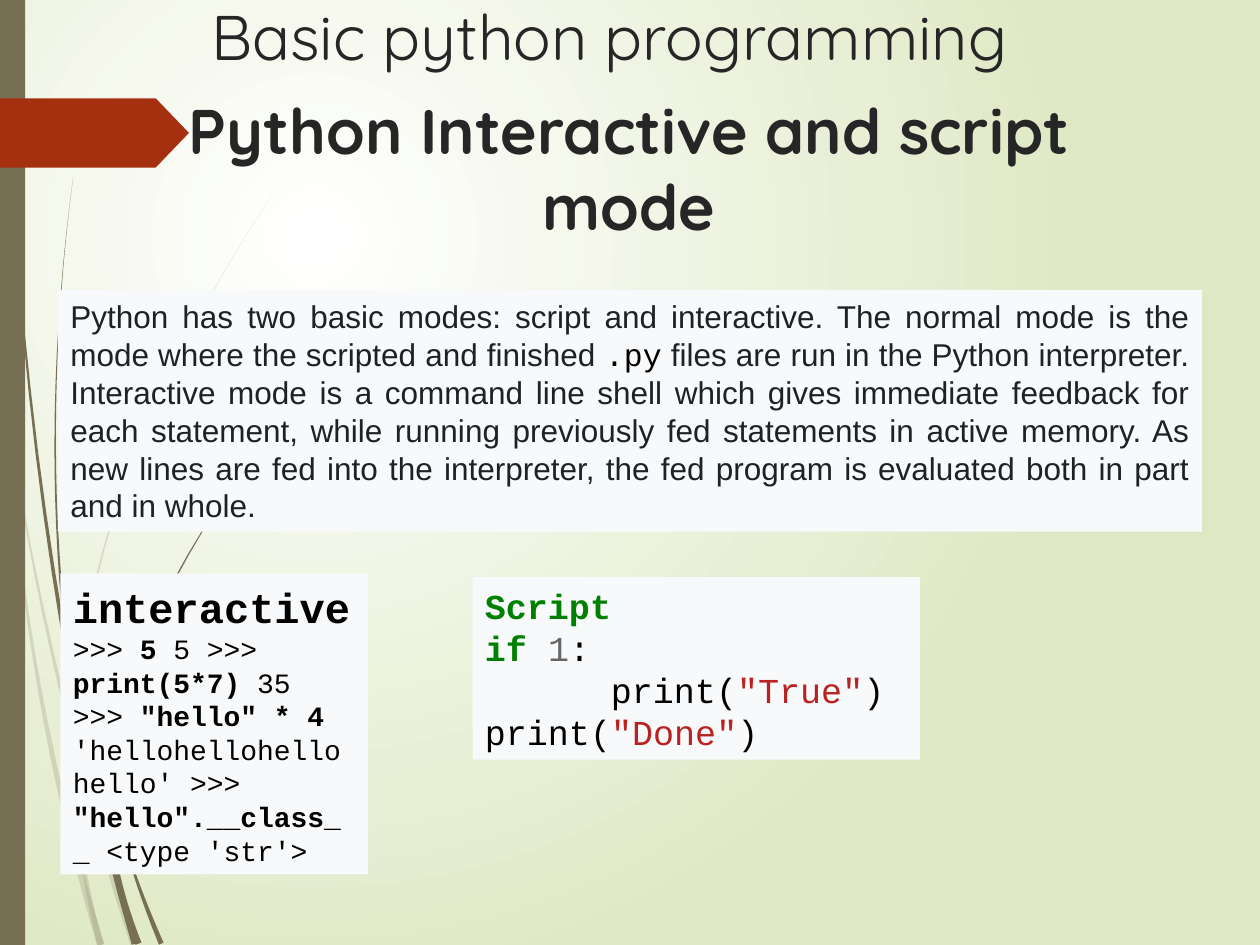
from dataclasses import dataclass
from math import hypot

from lxml.etree import SubElement
from pptx import Presentation
from pptx.dml.color import RGBColor
from pptx.enum.shapes import MSO_SHAPE as Shape
from pptx.enum.text import MSO_ANCHOR as Anchor, PP_ALIGN as Align
from pptx.oxml.ns import qn
from pptx.util import Inches, Pt

OLIVE, RUST, PANEL = "766F54", "A53010", "F8F9FA"
TITLE, BODY, BLACK = "262626", "202122", "000000"
KEYWORD, NUMBER, STRING = "008000", "666666", "BA2121"
GLOW, MEADOW = "FFFFFF", "DFE8C4"
DISPLAY, SANS, MONO = "Quicksand", "Arial", "Courier New"
CURVE_STEPS = 16

Point = tuple[float, float]


@dataclass(frozen=True)
class Box:
    left: float
    top: float
    width: float
    height: float


@dataclass(frozen=True)
class Blade:
    """A curved grass blade, pointed at the tip and widest at the root."""
    tip: Point
    bend: Point
    root: Point
    width: float
    opacity: int = 100


@dataclass(frozen=True)
class Span:
    text: str
    color: str = BLACK
    bold: bool = False
    font: str = MONO


@dataclass(frozen=True)
class Line:
    spans: tuple[Span, ...]
    size: float
    align: Align = Align.LEFT
    indent: float = 0


@dataclass(frozen=True)
class Panel:
    box: Box
    lines: tuple[Line, ...]


# Grass, back to front
FAINT = 20
GRASS = (
    Blade((0, 2.82), (0.29, 5.16), (1.06, 7.5), 0.05, FAINT),
    Blade((0.08, 3.5), (0.2, 5.5), (0.8, 7.5), 0.06, FAINT),
    Blade((2.17, 1.53), (0.6, 3.9), (0.6, 5.95), 0.02, FAINT),
    Blade((0.6, 5.95), (0.6, 6.8), (0.8, 7.5), 0.05, FAINT),
    Blade((0.03, 0), (0.16, 4.4), (1.07, 7.49), 0.05),
    Blade((0.58, 1.41), (0.33, 3.3), (0.52, 5.05), 0.02),
    Blade((2.16, 3.44), (0.9, 5), (0.9, 6.41), 0.03),
    Blade((0.9, 6.36), (1.03, 6.9), (1.28, 7.49), 0.04),
    Blade((0.88, 6.45), (0.9, 6.95), (1.1, 7.49), 0.05),
)

# Text panels
INTRO = Panel(Box(0.46, 2.3, 9.08, 1.92), (
    Line((
        Span("Python has two basic modes: script and interactive. The normal mode is "
             "the mode where the scripted and finished ", BODY, font=SANS),
        Span(".py"),
        Span(" files are run in the Python interpreter. Interactive mode is a command "
             "line shell which gives immediate feedback for each statement, while "
             "running previously fed statements in active memory. As new lines are fed "
             "into the interpreter, the fed program is evaluated both in part and in "
             "whole.", BODY, font=SANS),
    ), 18, Align.JUSTIFY),
))
SESSION = (">>> ", "5", " 5 >>> ", "print(5*7)", " 35 >>> ", '"hello" * 4',
           " 'hellohellohellohello' >>> ", '"hello".__class__', " <type 'str'>")
INTERACTIVE = Panel(Box(0.48, 4.55, 2.44, 2.39), (
    Line((Span("interactive", bold=True),), 24),
    # Typed input alternates with prompts and results
    Line(tuple(Span(text, bold=i % 2 == 1) for i, text in enumerate(SESSION)), 16),
))


def print_call(argument: str, indent: float = 0) -> Line:
    return Line((Span("print("), Span(argument, STRING), Span(")")), 20, indent=indent)


SCRIPT = Panel(Box(3.75, 4.58, 3.55, 1.45), (
    Line((Span("Script", KEYWORD, True),), 20),
    Line((Span("if ", KEYWORD, True), Span("1", NUMBER), Span(":")), 20),
    print_call('"True"', indent=1),
    print_call('"Done"'),
))


def paint(shape, color: str, opacity: int = 100) -> None:
    shape.shadow.inherit = False
    shape.fill.solid()
    shape.fill.fore_color.rgb = RGBColor.from_string(color)
    shape.line.fill.background()
    if opacity < 100:
        tone = shape.element.spPr.find(f".//{qn('a:srgbClr')}")
        SubElement(tone, qn("a:alpha"), val=str(opacity * 1000))


def place(box: Box) -> tuple:
    return tuple(Inches(n) for n in (box.left, box.top, box.width, box.height))


def blade_outline(blade: Blade) -> list[Point]:
    """Follow a quadratic curve and step out to both sides, wider toward the root."""
    (x0, y0), (x1, y1), (x2, y2) = blade.tip, blade.bend, blade.root
    left, right = [], []
    for step in range(CURVE_STEPS + 1):
        t = step / CURVE_STEPS
        x = (1 - t) ** 2 * x0 + 2 * t * (1 - t) * x1 + t ** 2 * x2
        y = (1 - t) ** 2 * y0 + 2 * t * (1 - t) * y1 + t ** 2 * y2
        slope_x = (1 - t) * (x1 - x0) + t * (x2 - x1)
        slope_y = (1 - t) * (y1 - y0) + t * (y2 - y1)
        reach = blade.width * t / 2 / hypot(slope_x, slope_y)
        left.append((x - slope_y * reach, y + slope_x * reach))
        right.append((x + slope_y * reach, y - slope_x * reach))
    return left + right[::-1]


def draw_blade(slide, blade: Blade) -> None:
    first, *rest = [(Inches(x), Inches(y)) for x, y in blade_outline(blade)]
    builder = slide.shapes.build_freeform(*first)
    builder.add_line_segments(rest, close=True)
    paint(builder.convert_to_shape(), OLIVE, blade.opacity)


def draw_shape(slide, box: Box, color: str, kind: Shape = Shape.RECTANGLE):
    shape = slide.shapes.add_shape(kind, *place(box))
    paint(shape, color)
    return shape


def add_span(para, text: str, *, font: str, size: float, color: str, bold: bool) -> None:
    run = para.add_run()
    run.text = text
    run.font.name, run.font.size, run.font.bold = font, Pt(size), bold
    run.font.color.rgb = RGBColor.from_string(color)


def write_lines(frame, lines: tuple[Line, ...], anchor: Anchor) -> None:
    frame.word_wrap = True
    frame.vertical_anchor = anchor
    for i, line in enumerate(lines):
        para = frame.add_paragraph() if i else frame.paragraphs[0]
        para.alignment = line.align
        if line.indent:
            para._p.get_or_add_pPr().set("marL", str(Inches(line.indent)))
        for span in line.spans:
            add_span(para, span.text, font=span.font, size=line.size,
                     color=span.color, bold=span.bold)


def draw_heading(slide, box: Box, text: str, *, bold: bool, align: Align) -> None:
    frame = slide.shapes.add_textbox(*place(box)).text_frame
    write_lines(frame, (Line((Span(text, TITLE, bold, DISPLAY),), 36, align),), Anchor.TOP)


def paint_background(slide) -> None:
    fill = slide.background.fill
    fill.gradient()
    for position, (stop, color) in enumerate(zip(fill.gradient_stops, (GLOW, MEADOW))):
        stop.position = position
        stop.color.rgb = RGBColor.from_string(color)
    # Turn the linear gradient into a circular one
    gradient = slide.element.find(f".//{qn('a:gradFill')}")
    gradient.remove(gradient.find(qn("a:lin")))
    circle = SubElement(gradient, qn("a:path"), path="circle")
    SubElement(circle, qn("a:fillToRect"), l="50000", t="50000", r="100000", b="100000")


def main() -> None:
    deck = Presentation()
    deck.slide_width, deck.slide_height = Inches(10), Inches(7.5)
    page = deck.slides.add_slide(deck.slide_layouts[6])

    # Backdrop: gradient, grass, side bar and arrow tab
    paint_background(page)
    for blade in GRASS:
        draw_blade(page, blade)
    draw_shape(page, Box(0, 0, 0.2, 7.5), OLIVE)
    arrow = draw_shape(page, Box(0, 0.78, 1.5, 0.55), RUST, Shape.PENTAGON)
    arrow.adjustments[0] = 0.48

    # Headings and panels
    draw_heading(page, Box(0.92, 0.68, 8.14, 1.62), "Python Interactive and script mode",
                 bold=True, align=Align.CENTER)
    for panel in (INTRO, INTERACTIVE, SCRIPT):
        card = draw_shape(page, panel.box, PANEL)
        write_lines(card.text_frame, panel.lines, Anchor.MIDDLE)
    draw_heading(page, Box(1.58, -0.07, 7.21, 1.4), "Basic python programming",
                 bold=False, align=Align.LEFT)
    deck.save("out.pptx")


if __name__ == "__main__":
    main()
